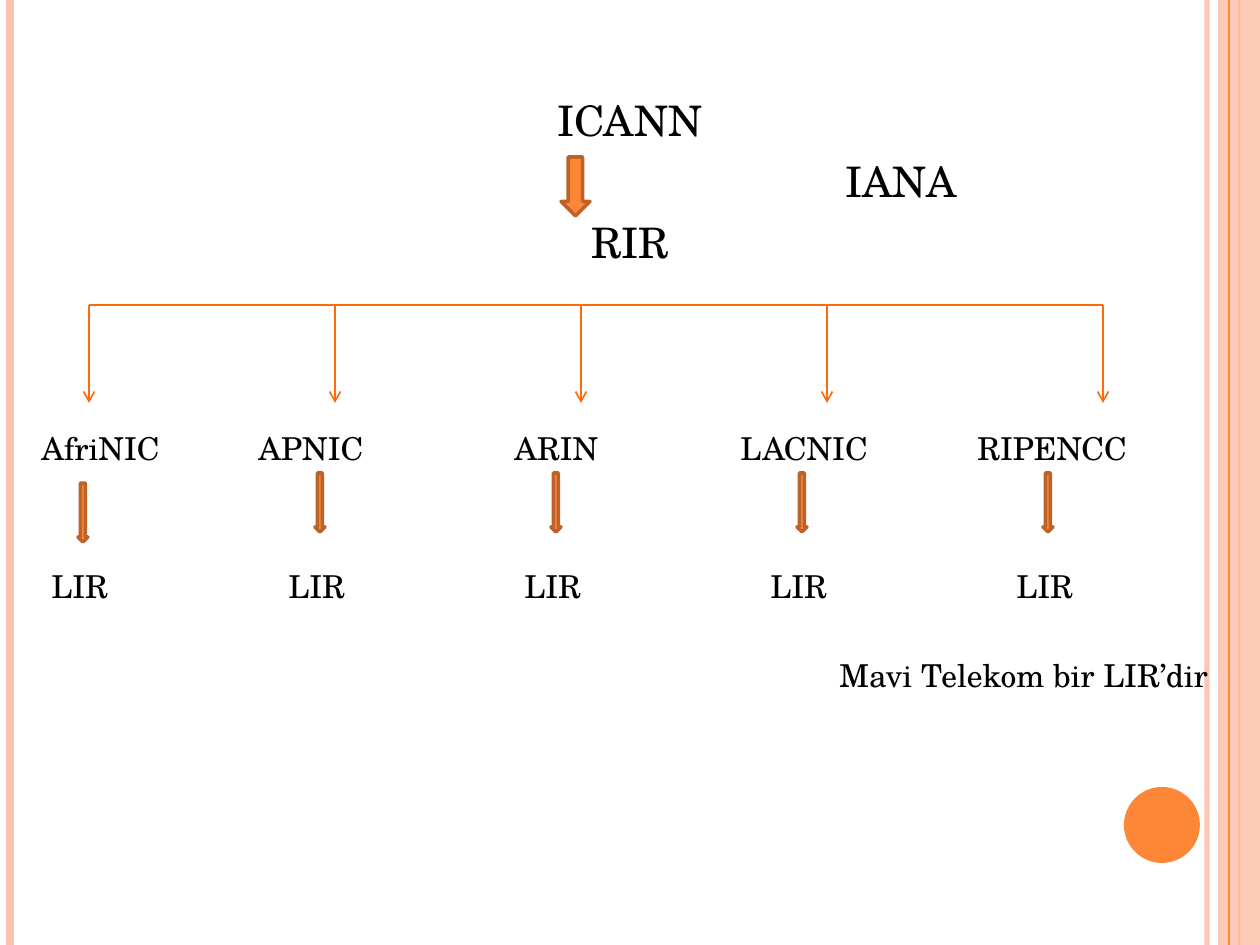
from lxml.etree import SubElement
from pptx import Presentation
from pptx.dml.color import RGBColor
from pptx.enum.shapes import MSO_CONNECTOR, MSO_SHAPE
from pptx.enum.text import PP_ALIGN
from pptx.oxml.ns import qn
from pptx.util import Emu, Pt

FONT = "TeX Gyre Schola"
COLORS = {"pale": "FEC3AE", "orange": "FE8637", "edge": "BC6329",
          "branch": "FF6B0A", "text": "000000"}
WIDTH, HEIGHT = 1260, 945

# x, line width in pt, colour, opacity in percent
STRIPES = [(1207, 3, "pale", 93), (10, 4.5, "pale", 100), (1239, 1.5, "orange", 100)]
INNER_STRIPE = (1229, 0.75, "orange", 100)

# text, centre x; one row each
HEADINGS = [("ICANN", 630), ("IANA", 901), ("RIR", 630)]
HEADING_TOP, HEADING_STEP, HEADING_W = 88, 61, 300

# name, branch x, name left, name width, arrow left, arrow top
REGISTRIES = [
    ("AfriNIC", 89, 29, 158, 78, 483),
    ("APNIC", 335, 246, 158, 315, 473),
    ("ARIN", 581, 502, 137, 551, 473),
    ("LACNIC", 827, 728, 158, 797, 473),
    ("RIPENCC", 1103, 965, 178, 1043, 473),
]
BRANCH_TOP, BRANCH_BOTTOM = 305, 403
NAME_TOP, LIR_TOP, LIR_SHIFT = 423, 561, -39
NOTE = "Mavi Telekom bir LIR’dir"


def px(n):
    return Emu(round(n * 914400 / 126))


def rgb(name):
    return RGBColor.from_string(COLORS[name])


def set_opacity(parent, percent):
    if percent < 100:
        clr = next(parent.iter(qn("a:srgbClr")))
        SubElement(clr, qn("a:alpha"), val=str(percent * 1000))


def add_text(slide, text, x, y, w, h=50, size=18, align=PP_ALIGN.LEFT):
    tf = slide.shapes.add_textbox(px(x), px(y), px(w), px(h)).text_frame
    tf.word_wrap = True
    p = tf.paragraphs[0]
    p.alignment = align
    r = p.add_run()
    r.text = text
    r.font.name, r.font.size = FONT, Pt(size)
    r.font.color.rgb = rgb("text")


def add_line(slide, x1, y1, x2, y2, color, width, opacity=100, arrow=False):
    line = slide.shapes.add_connector(MSO_CONNECTOR.STRAIGHT, px(x1), px(y1), px(x2), px(y2))
    line.line.color.rgb = rgb(color)
    line.line.width = Pt(width)
    sp_pr = line._element.spPr
    set_opacity(sp_pr, opacity)
    if arrow:
        SubElement(line.line._get_or_add_ln(), qn("a:tailEnd"), type="arrow")
    SubElement(sp_pr, qn("a:effectLst"))


def add_shape(slide, kind, x, y, w, h, fill, edge=None, opacity=100):
    sp = slide.shapes.add_shape(kind, px(x), px(y), px(w), px(h))
    sp.shadow.inherit = False
    sp.fill.solid()
    sp.fill.fore_color.rgb = rgb(fill)
    set_opacity(sp._element.spPr, opacity)
    if edge:
        sp.line.color.rgb = rgb(edge)
        sp.line.width = Pt(2)
    else:
        sp.line.fill.background()


def add_stripe(slide, x, width, color, opacity):
    add_line(slide, x, 0, x, HEIGHT, color, width, opacity)


def add_down_arrow(slide, x, y, w):
    add_shape(slide, MSO_SHAPE.DOWN_ARROW, x, y, w, 59, "orange", "edge")


def add_frame(slide):
    for stripe in STRIPES:
        add_stripe(slide, *stripe)
    add_shape(slide, MSO_SHAPE.RECTANGLE, 1218, 0, WIDTH - 1218, HEIGHT, "pale", opacity=87)
    add_stripe(slide, *INNER_STRIPE)
    add_shape(slide, MSO_SHAPE.OVAL, 1124, 787, 76, 76, "orange")


def add_hierarchy(slide):
    for row, (text, center) in enumerate(HEADINGS):
        add_text(slide, text, center - HEADING_W / 2, HEADING_TOP + row * HEADING_STEP,
                 HEADING_W, 63, size=24, align=PP_ALIGN.CENTER)
    add_down_arrow(slide, 561, 157, 29)

    add_line(slide, REGISTRIES[0][1], BRANCH_TOP, REGISTRIES[-1][1], BRANCH_TOP, "branch", 1)
    for name, branch_x, name_x, name_w, arrow_x, arrow_y in REGISTRIES:
        add_line(slide, branch_x, BRANCH_TOP, branch_x, BRANCH_BOTTOM, "branch", 1, arrow=True)
        add_text(slide, name, name_x, NAME_TOP, name_w)
        add_down_arrow(slide, arrow_x, arrow_y, 10)
        add_text(slide, "LIR", arrow_x + LIR_SHIFT, LIR_TOP, 88)
    add_text(slide, NOTE, 827, 650, 394, 89)


def main():
    prs = Presentation()
    prs.slide_width, prs.slide_height = px(WIDTH), px(HEIGHT)
    slide = prs.slides.add_slide(prs.slide_layouts[6])
    add_frame(slide)
    add_hierarchy(slide)
    prs.save("out.pptx")


if __name__ == "__main__":
    main()
